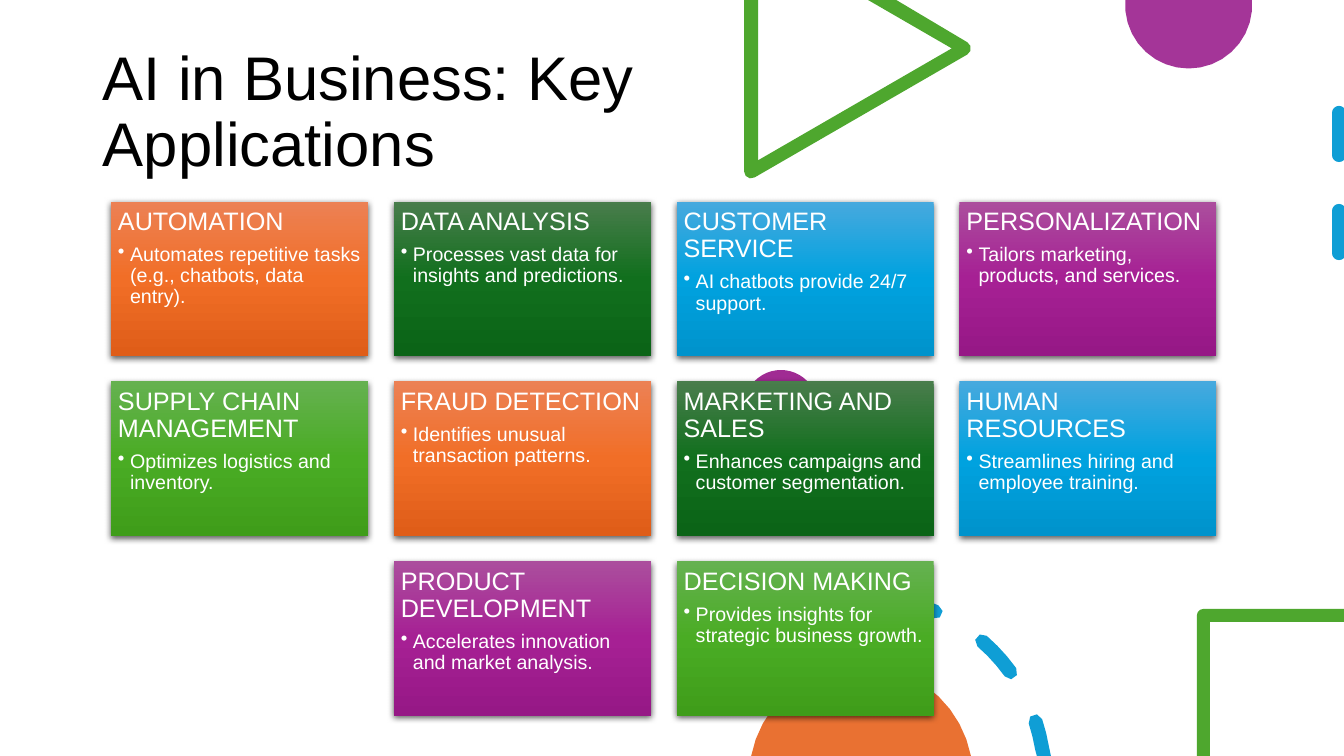
from itertools import cycle
from math import cos, radians, sin

from lxml.etree import SubElement
from pptx import Presentation
from pptx.dml.color import RGBColor
from pptx.enum.dml import MSO_LINE
from pptx.enum.shapes import MSO_CONNECTOR, MSO_SHAPE
from pptx.enum.text import MSO_ANCHOR, MSO_AUTO_SIZE, PP_ALIGN
from pptx.oxml.ns import qn
from pptx.util import Inches, Pt

BLACK = RGBColor(0x00, 0x00, 0x00)
WHITE = RGBColor(0xFF, 0xFF, 0xFF)
PURPLE = RGBColor(0xA0, 0x2B, 0x93)
GREEN = RGBColor(0x4E, 0xA7, 0x2E)
BLUE = RGBColor(0x0F, 0x9E, 0xD5)
ORANGE = RGBColor(0xE9, 0x71, 0x32)

# Card gradients: top, middle, bottom
CARD_GRADIENTS = [
    (RGBColor(0xEC, 0x81, 0x54), RGBColor(0xF1, 0x6E, 0x27), RGBColor(0xDF, 0x5D, 0x18)),
    (RGBColor(0x49, 0x7D, 0x4C), RGBColor(0x11, 0x6F, 0x1D), RGBColor(0x0B, 0x64, 0x17)),
    (RGBColor(0x47, 0xA9, 0xDE), RGBColor(0x00, 0xA2, 0xDF), RGBColor(0x00, 0x93, 0xCC)),
    (RGBColor(0xAB, 0x4E, 0x9D), RGBColor(0xA6, 0x20, 0x94), RGBColor(0x96, 0x18, 0x86)),
    (RGBColor(0x65, 0xB1, 0x50), RGBColor(0x4A, 0xAC, 0x24), RGBColor(0x3F, 0x9D, 0x1A)),
]

CARD_ROWS = [
    [("AUTOMATION", "Automates repetitive tasks (e.g., chatbots, data entry)."),
     ("DATA ANALYSIS", "Processes vast data for insights and predictions."),
     ("CUSTOMER SERVICE", "AI chatbots provide 24/7 support."),
     ("PERSONALIZATION", "Tailors marketing, products, and services.")],
    [("SUPPLY CHAIN MANAGEMENT", "Optimizes logistics and inventory."),
     ("FRAUD DETECTION", "Identifies unusual transaction patterns."),
     ("MARKETING AND SALES", "Enhances campaigns and customer segmentation."),
     ("HUMAN RESOURCES", "Streamlines hiring and employee training.")],
    [("PRODUCT DEVELOPMENT", "Accelerates innovation and market analysis."),
     ("DECISION MAKING", "Provides insights for strategic business growth.")],
]

SLIDE_WIDTH, SLIDE_HEIGHT = 13.33, 7.5
STROKE_RADIUS = 0.07


def arc(center_x, center_y, radius, start, end, steps=3):
    """Points on an arc, clipped to the slide's height; angles run clockwise from the right."""
    angles = [radians(start + (end - start) * step / steps) for step in range(steps + 1)]
    return [(center_x + radius * cos(angle),
             min(max(center_y + radius * sin(angle), 0), SLIDE_HEIGHT)) for angle in angles]


def curved_dash(center_x, center_y, radius, start, end):
    """Outline of a curved stroke with round ends."""
    caps = [(center_x + radius * cos(radians(angle)), center_y + radius * sin(radians(angle)))
            for angle in (start, end)]
    return (arc(center_x, center_y, radius + STROKE_RADIUS, start, end)
            + arc(*caps[1], STROKE_RADIUS, end, end + 180)[1:-1]
            + arc(center_x, center_y, radius - STROKE_RADIUS, end, start)
            + arc(*caps[0], STROKE_RADIUS, start + 180, start + 360)[1:-1])


class SlideBuilder:
    font_name = "Arial"

    def __init__(self, presentation):
        self.slide = presentation.slides.add_slide(presentation.slide_layouts[5])
        self.shapes = self.slide.shapes

    def add_run(self, paragraph, text, size, color):
        paragraph.line_spacing = 0.9
        paragraph.alignment = PP_ALIGN.LEFT
        run = paragraph.add_run()
        run.text = text
        run.font.name = self.font_name
        run.font.size = Pt(size)
        run.font.color.rgb = color

    def add_title(self, text, left, top, width, height):
        title = self.shapes.title
        title.left, title.top = Inches(left), Inches(top)
        title.width, title.height = Inches(width), Inches(height)
        frame = title.text_frame
        frame.word_wrap = True
        frame.auto_size = MSO_AUTO_SIZE.NONE
        frame.vertical_anchor = MSO_ANCHOR.MIDDLE
        self.add_run(frame.paragraphs[0], text, 44, BLACK)

    def add_outline(self, color, *contours, opacity=100):
        contours = [[(Inches(x), Inches(y)) for x, y in contour] for contour in contours]
        builder = self.shapes.build_freeform(*contours[0][0])
        for index, contour in enumerate(contours):
            if index:
                builder.move_to(*contour[0])
            builder.add_line_segments(contour[1:], close=True)
        shape = builder.convert_to_shape()
        shape.shadow.inherit = False
        shape.fill.solid()
        shape.fill.fore_color.rgb = color
        shape.line.fill.background()
        if opacity < 100:
            color_element = shape._element.spPr.find(".//" + qn("a:srgbClr"))
            SubElement(color_element, qn("a:alpha"), val=str(opacity * 1000))

    def add_ring(self, color, left, top, diameter):
        ring = self.shapes.add_shape(MSO_SHAPE.OVAL, Inches(left), Inches(top),
                                     Inches(diameter), Inches(diameter))
        ring.shadow.inherit = False
        ring.fill.background()
        ring.line.color.rgb = color
        ring.line.width = Pt(10)

    def add_dashed_line(self, color, x, top, bottom):
        connector = self.shapes.add_connector(MSO_CONNECTOR.STRAIGHT, Inches(x), Inches(top),
                                              Inches(x), Inches(bottom))
        connector.line.color.rgb = color
        connector.line.width = Pt(10)
        connector.line.dash_style = MSO_LINE.DASH
        properties = connector._element.spPr
        properties.find(qn("a:ln")).set("cap", "rnd")
        SubElement(properties, qn("a:effectLst"))

    def add_gradient(self, shape, colors):
        gradient = SubElement(shape._element.spPr, qn("a:gradFill"), rotWithShape="1")
        stops = SubElement(gradient, qn("a:gsLst"))
        for position, color in zip((0, 50000, 100000), colors):
            stop = SubElement(stops, qn("a:gs"), pos=str(position))
            SubElement(stop, qn("a:srgbClr"), val=str(color))
        SubElement(gradient, qn("a:lin"), ang="5400000", scaled="0")

    def add_shadow(self, shape):
        shape.shadow.inherit = False
        effects = shape._element.spPr.find(qn("a:effectLst"))
        shadow = SubElement(effects, qn("a:outerShdw"), blurRad=str(Pt(4.5)),
                            dist=str(Pt(1.5)), dir="5400000", algn="ctr", rotWithShape="0")
        color = SubElement(shadow, qn("a:srgbClr"), val=str(BLACK))
        SubElement(color, qn("a:alpha"), val="63000")

    def add_bullet(self, paragraph):
        paragraph.level = 1
        paragraph.line_spacing = 0.9
        paragraph.space_before = Pt(6.3)
        properties = paragraph._p.get_or_add_pPr()
        properties.set("marL", str(Inches(0.12)))
        properties.set("indent", str(Inches(-0.12)))
        bullet_color = SubElement(properties, qn("a:buClr"))
        SubElement(bullet_color, qn("a:srgbClr"), val=str(WHITE))
        SubElement(properties, qn("a:buChar"), char="•")

    def add_card(self, heading, detail, colors, left, top, width, height):
        card = self.shapes.add_shape(MSO_SHAPE.RECTANGLE, Inches(left), Inches(top),
                                     Inches(width), Inches(height))
        self.add_gradient(card, colors)
        card.line.fill.background()
        self.add_shadow(card)
        frame = card.text_frame
        frame.word_wrap = True
        frame.vertical_anchor = MSO_ANCHOR.TOP
        frame.margin_left = frame.margin_right = Inches(0.07)
        frame.margin_top = frame.margin_bottom = Inches(0.07)
        self.add_run(frame.paragraphs[0], heading, 18, WHITE)
        paragraph = frame.add_paragraph()
        self.add_bullet(paragraph)
        self.add_run(paragraph, detail, 14, WHITE)


def main():
    presentation = Presentation()
    presentation.slide_width = Inches(SLIDE_WIDTH)
    presentation.slide_height = Inches(SLIDE_HEIGHT)
    builder = SlideBuilder(presentation)
    builder.add_title("AI in Business: Key Applications", 0.92, 0.4, 5.9, 1.45)

    # Decorations at the top
    builder.add_outline(PURPLE, arc(11.79, 0.05, 0.63, -5, 185, steps=18), opacity=95)
    builder.add_ring(PURPLE, 7.45, 3.74, 0.59)
    triangle = [(7.38, 0), (7.52, 0), (7.52, 1.59), (9.44, 0.48), (8.61, 0), (8.89, 0)]
    builder.add_outline(GREEN, triangle + arc(9.56, 0.48, STROKE_RADIUS, -60, 60)
                        + arc(7.45, 1.7, STROKE_RADIUS, 60, 180))
    builder.add_dashed_line(BLUE, 13.28, 1.12, 2.87)

    # Decorations at the bottom
    dash_starts = [-110.5 + 30.75 * index for index in range(4)]
    builder.add_outline(BLUE, *[curved_dash(8.56, 7.72, 1.8, start, start + 13.3)
                                for start in dash_starts])
    builder.add_outline(ORANGE, arc(8.54, 7.71, 1.11, -169, -11, steps=18))
    corner = arc(11.94, 6.11, STROKE_RADIUS, 180, 270)
    builder.add_outline(GREEN, corner + [(13.33, 6.04), (13.33, 6.17), (12, 6.17),
                                         (12, 7.5), (11.87, 7.5)])

    # Application cards, each row centred on four columns
    gradients = cycle(CARD_GRADIENTS)
    for row, cards in enumerate(CARD_ROWS):
        first_column = (4 - len(cards)) / 2
        for column, (heading, detail) in enumerate(cards):
            builder.add_card(heading, detail, next(gradients),
                             1.1 + 2.805 * (first_column + column), 2 + 1.785 * row, 2.55, 1.53)

    presentation.save("out.pptx")


if __name__ == "__main__":
    main()
